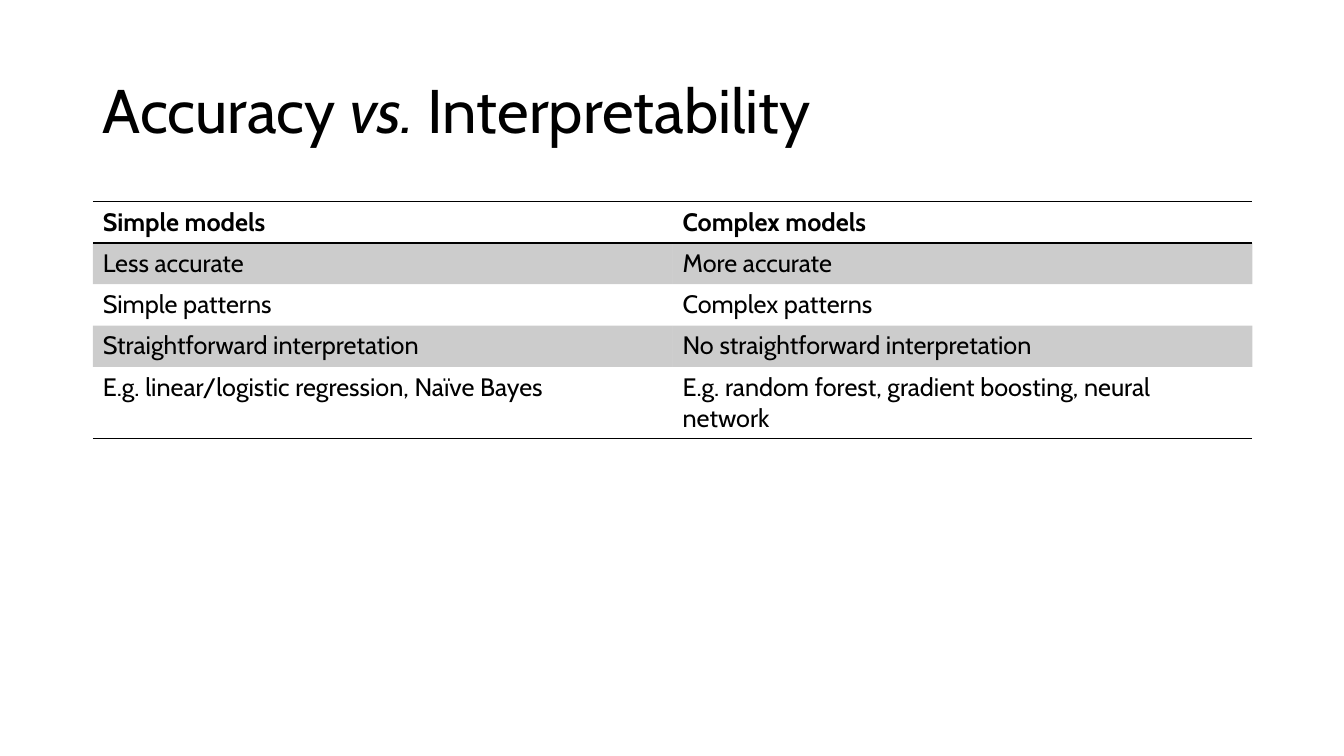
import pptx
import pptx.dml.color
import pptx.enum.text
import pptx.oxml.ns
import pptx.util
from lxml import etree

BLACK = pptx.dml.color.RGBColor(0x00, 0x00, 0x00)
FONT = "Cabin"
NO_STYLE_NO_GRID = "{2D5ABB26-0587-4C30-8999-92F81FD0307C}"
BAND_OPACITY = "20000"

MODEL_TRAITS = [
    ("Simple models", "Complex models"),
    ("Less accurate", "More accurate"),
    ("Simple patterns", "Complex patterns"),
    ("Straightforward interpretation", "No straightforward interpretation"),
    ("E.g. linear/logistic regression, Naïve Bayes",
     "E.g. random forest, gradient boosting, neural network"),
]
LAST_ROW = len(MODEL_TRAITS) - 1


def set_font(paragraph, size, bold=False):
    paragraph.font.name = FONT
    paragraph.font.size = pptx.util.Pt(size)
    paragraph.font.bold = bold
    paragraph.font.color.rgb = BLACK


def add_rule(cell, edge):
    """Draw a 1 pt black line on a cell edge: lnT for top, lnB for bottom."""
    qn = pptx.oxml.ns.qn
    line = etree.SubElement(cell._tc.get_or_add_tcPr(), qn(f"a:{edge}"),
                            w=str(pptx.util.Pt(1)))
    fill = etree.SubElement(line, qn("a:solidFill"))
    etree.SubElement(fill, qn("a:srgbClr"), val=str(BLACK))


deck = pptx.Presentation()
deck.slide_width = pptx.util.Inches(13.33)
deck.slide_height = pptx.util.Inches(7.5)
slide = deck.slides.add_slide(deck.slide_layouts[5])

margin = pptx.util.Inches(0.92)
content_width = pptx.util.Inches(11.5)
row_height = pptx.util.Inches(0.41)

# Title
title = slide.shapes.title
title.left, title.top = margin, pptx.util.Inches(0.4)
title.width, title.height = content_width, pptx.util.Inches(1.45)
title.text_frame.vertical_anchor = pptx.enum.text.MSO_ANCHOR.MIDDLE
heading = title.text_frame.paragraphs[0]
heading.alignment = pptx.enum.text.PP_ALIGN.LEFT
heading.line_spacing = 0.9
set_font(heading, 44)
for words, italic in [("Accuracy ", False), ("vs.", True), (" Interpretability", False)]:
    run = heading.add_run()
    run.text = words
    run.font.italic = italic

# Comparison table
comparison = slide.shapes.add_table(
    len(MODEL_TRAITS), 2, margin, pptx.util.Inches(2),
    content_width, row_height * len(MODEL_TRAITS)).table
comparison._tbl.tblPr.find(pptx.oxml.ns.qn("a:tableStyleId")).text = NO_STYLE_NO_GRID

for row, traits in enumerate(MODEL_TRAITS):
    for column, trait in enumerate(traits):
        cell = comparison.cell(row, column)
        cell.text = trait
        set_font(cell.text_frame.paragraphs[0], 18, bold=row == 0)
        if row == 0:
            add_rule(cell, "lnT")
        if row in (0, LAST_ROW):
            add_rule(cell, "lnB")
        if row % 2:
            cell.fill.solid()
            cell.fill.fore_color.rgb = BLACK
            band = cell._tc.tcPr.find(".//" + pptx.oxml.ns.qn("a:srgbClr"))
            etree.SubElement(band, pptx.oxml.ns.qn("a:alpha"), val=BAND_OPACITY)
        else:
            cell.fill.background()

deck.save("out.pptx")
